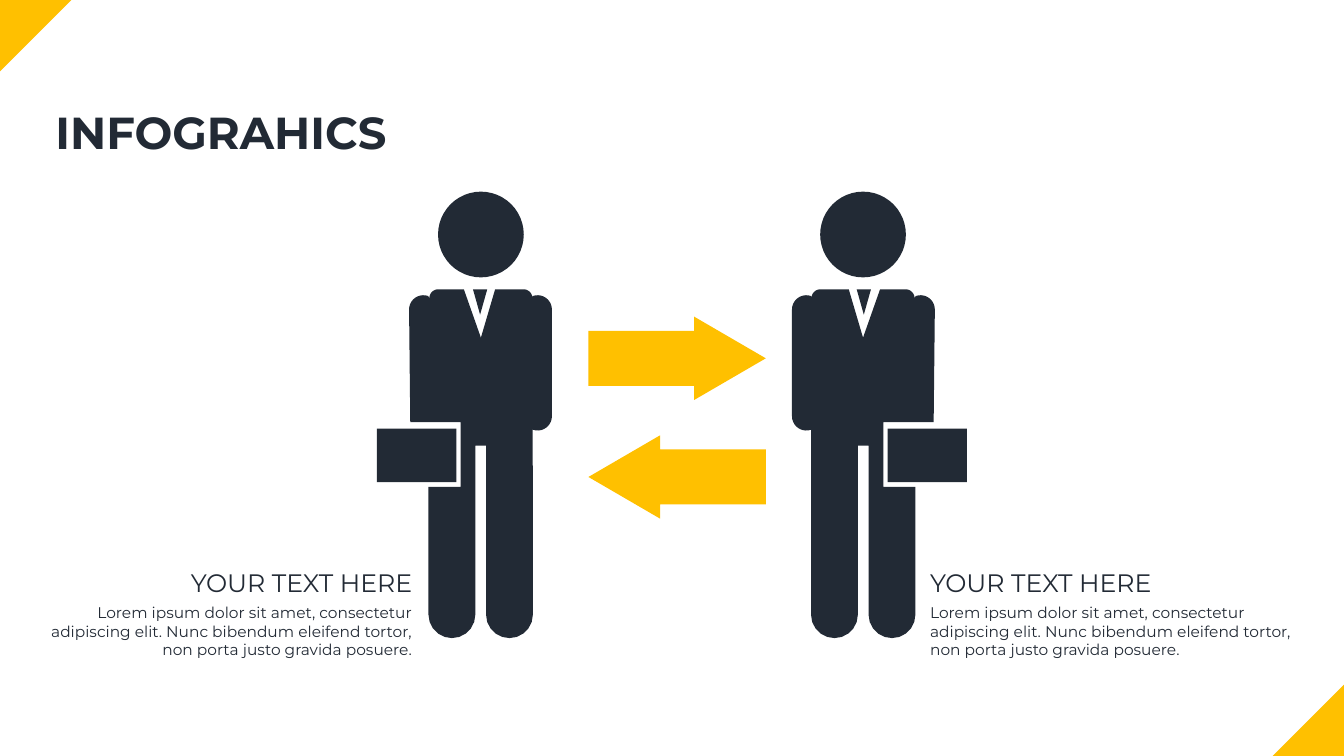
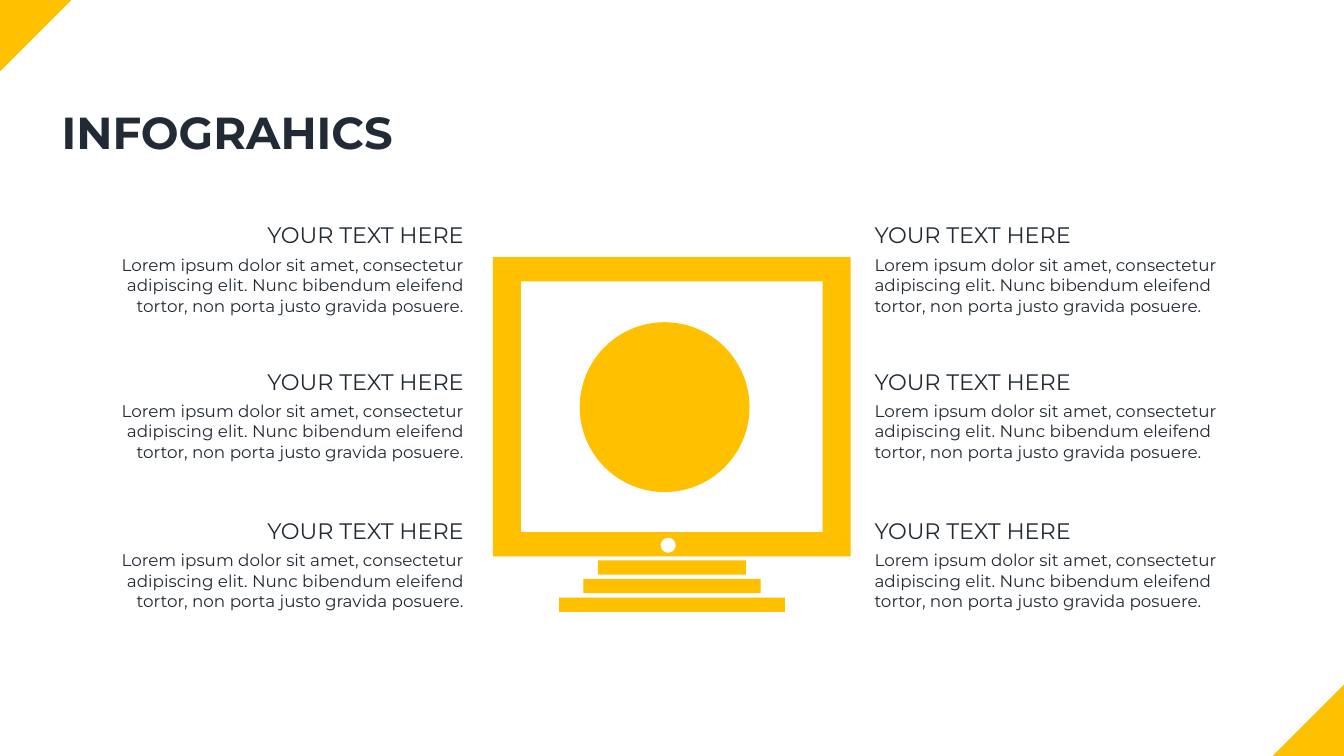
"""Build two infographic slides: an exchange between two people and a labelled monitor."""
from math import cos, radians, sin

from pptx import Presentation
from pptx.dml.color import RGBColor
from pptx.enum.shapes import MSO_SHAPE
from pptx.enum.text import MSO_ANCHOR, MSO_AUTO_SIZE, PP_ALIGN
from pptx.util import Cm, Pt

NAVY = RGBColor(0x22, 0x2A, 0x35)
YELLOW = RGBColor(0xFF, 0xC0, 0x00)
FONT = "Montserrat"
WIDTH, HEIGHT = 33.87, 19.05
CORNER = 1.8
COLUMN = 10.39

TITLE = "INFOGRAHICS"
HEADING = "YOUR TEXT HERE"
DETAIL = ("Lorem ipsum dolor sit amet, consectetur adipiscing elit. "
          "Nunc bibendum eleifend tortor, non porta justo gravida posuere.")

EXCHANGE = {
    "title_left": 1.14, "columns": (0.25, 23.19), "rows": (14.17,),
    "heading_size": 18, "detail_size": 11, "heading_height": 1.02,
    "detail_height": 1.68, "detail_drop": 0.91,
}
MONITOR = {
    "title_left": 1.3, "columns": (1.55, 21.79), "rows": (5.46, 9.14, 12.9),
    "heading_size": 16, "detail_size": 12, "heading_height": 0.94,
    "detail_height": 1.8, "detail_drop": 0.84,
}
PEOPLE = ((12.12, 1), (21.75, -1))
ARROWS = ((MSO_SHAPE.RIGHT_ARROW, 7.98), (MSO_SHAPE.LEFT_ARROW, 10.97))
STAND_WIDTHS = (3.73, 4.47, 5.69)


def write(frame, text, *, size, bold=False, align=PP_ALIGN.LEFT):
    frame.word_wrap = True
    frame.auto_size = MSO_AUTO_SIZE.SHAPE_TO_FIT_TEXT
    frame.vertical_anchor = MSO_ANCHOR.TOP
    para = frame.paragraphs[0]
    para.alignment = align
    span = para.add_run()
    span.text = text
    span.font.name = FONT
    span.font.size = Pt(size)
    span.font.bold = bold
    span.font.color.rgb = NAVY


def paint(shape, color):
    shape.shadow.inherit = False
    shape.fill.solid()
    shape.fill.fore_color.rgb = color
    shape.line.fill.background()
    return shape


def add_preset(page, kind, left, top, width, height, color):
    shape = page.shapes.add_shape(kind, Cm(left), Cm(top), Cm(width), Cm(height))
    return paint(shape, color)


def add_outline(page, contours, color):
    contours = [[(Cm(x), Cm(y)) for x, y in contour] for contour in contours]
    builder = page.shapes.build_freeform(*contours[0][0])
    for number, contour in enumerate(contours):
        if number:
            builder.move_to(*contour[0])
        builder.add_line_segments(contour[1:], close=True)
    return paint(builder.convert_to_shape(), color)


def arc(x, y, radius, start, end, steps=10):
    angles = [radians(start + (end - start) * i / steps) for i in range(steps + 1)]
    return [(x + radius * cos(angle), y + radius * sin(angle)) for angle in angles]


def rectangle(left, top, right, bottom):
    return [(left, top), (right, top), (right, bottom), (left, bottom)]


def add_corners(page, layout):
    for left, top, angle in ((WIDTH - CORNER, HEIGHT - CORNER, 270), (0, 0, 90)):
        corner = add_preset(page, MSO_SHAPE.RIGHT_TRIANGLE, left, top, CORNER, CORNER, YELLOW)
        corner.rotation = angle
        layout.shapes.element.append(corner.element)


def add_title(page, left):
    title = page.shapes.title
    title.left, title.top, title.width, title.height = Cm(left), Cm(2.51), Cm(17.02), Cm(1.63)
    write(title.text_frame, TITLE, size=32, bold=True)


def add_labels(page, style):
    for left, align in zip(style["columns"], (PP_ALIGN.RIGHT, PP_ALIGN.LEFT)):
        for row in style["rows"]:
            parts = (("heading", HEADING, row), ("detail", DETAIL, row + style["detail_drop"]))
            for part, text, top in parts:
                height = style[f"{part}_height"]
                box = page.shapes.add_textbox(Cm(left), Cm(top), Cm(COLUMN), Cm(height))
                write(box.text_frame, text, size=style[f"{part}_size"], align=align)


def add_person(page, axis, side):
    tie = [(-0.2, 7.29), (0.16, 7.29), (-0.02, 7.93)]
    body = [
        *arc(-1.07, 7.52, 0.23, 180, 270),
        (-0.43, 7.29), (0, 8.51), (0.36, 7.29),
        *arc(1.07, 7.52, 0.23, 270, 360),
        *arc(1.43, 7.8, 0.36, 250, 360),
        *arc(1.43, 10.49, 0.36, 0, 110),
        *arc(0.72, 15.49, 0.59, 0, 180),
        (0.13, 11.23), (-0.14, 11.23),
        *arc(-0.73, 15.49, 0.59, 0, 180),
        (-1.32, 12.27), (-0.51, 12.27), (-0.51, 10.64), (-1.78, 10.64),
        *arc(-1.45, 7.8, 0.36, 180, 290),
    ]
    add_preset(page, MSO_SHAPE.OVAL, axis - 1.08, 4.83, 2.16, 2.16, NAVY)
    for outline in (tie, body):
        add_outline(page, [[(axis + side * x, y) for x, y in outline]], NAVY)
    add_preset(page, MSO_SHAPE.RECTANGLE, axis - side * 1.62 - 1, 10.8, 2, 1.35, NAVY)


def add_monitor(page):
    for row, width in enumerate(STAND_WIDTHS):
        left = (WIDTH - width) / 2
        add_preset(page, MSO_SHAPE.RECTANGLE, left, 14.12 + 0.47 * row, width, 0.36, YELLOW)
    case = rectangle(12.42, 6.48, 21.44, 14.02)
    screen = rectangle(13.13, 7.09, 20.73, 13.41)
    button = arc(16.84, 13.74, 0.19, 0, 360, steps=24)
    add_outline(page, [case, screen, button], YELLOW)
    add_preset(page, MSO_SHAPE.OVAL, 14.61, 8.12, 4.28, 4.28, YELLOW)


deck = Presentation()
deck.slide_width, deck.slide_height = Cm(WIDTH), Cm(HEIGHT)
title_only = deck.slide_layouts[5]

exchange_page = deck.slides.add_slide(title_only)
add_corners(exchange_page, title_only)
for axis, side in PEOPLE:
    add_person(exchange_page, axis, side)
for kind, top in ARROWS:
    arrow = add_preset(exchange_page, kind, 14.83, top, 4.47, 2.1, YELLOW)
    arrow.adjustments[0] = 0.66
    arrow.adjustments[1] = 0.86

monitor_page = deck.slides.add_slide(title_only)
add_monitor(monitor_page)

for page, style in ((exchange_page, EXCHANGE), (monitor_page, MONITOR)):
    add_labels(page, style)
    add_title(page, style["title_left"])

deck.save("out.pptx")
